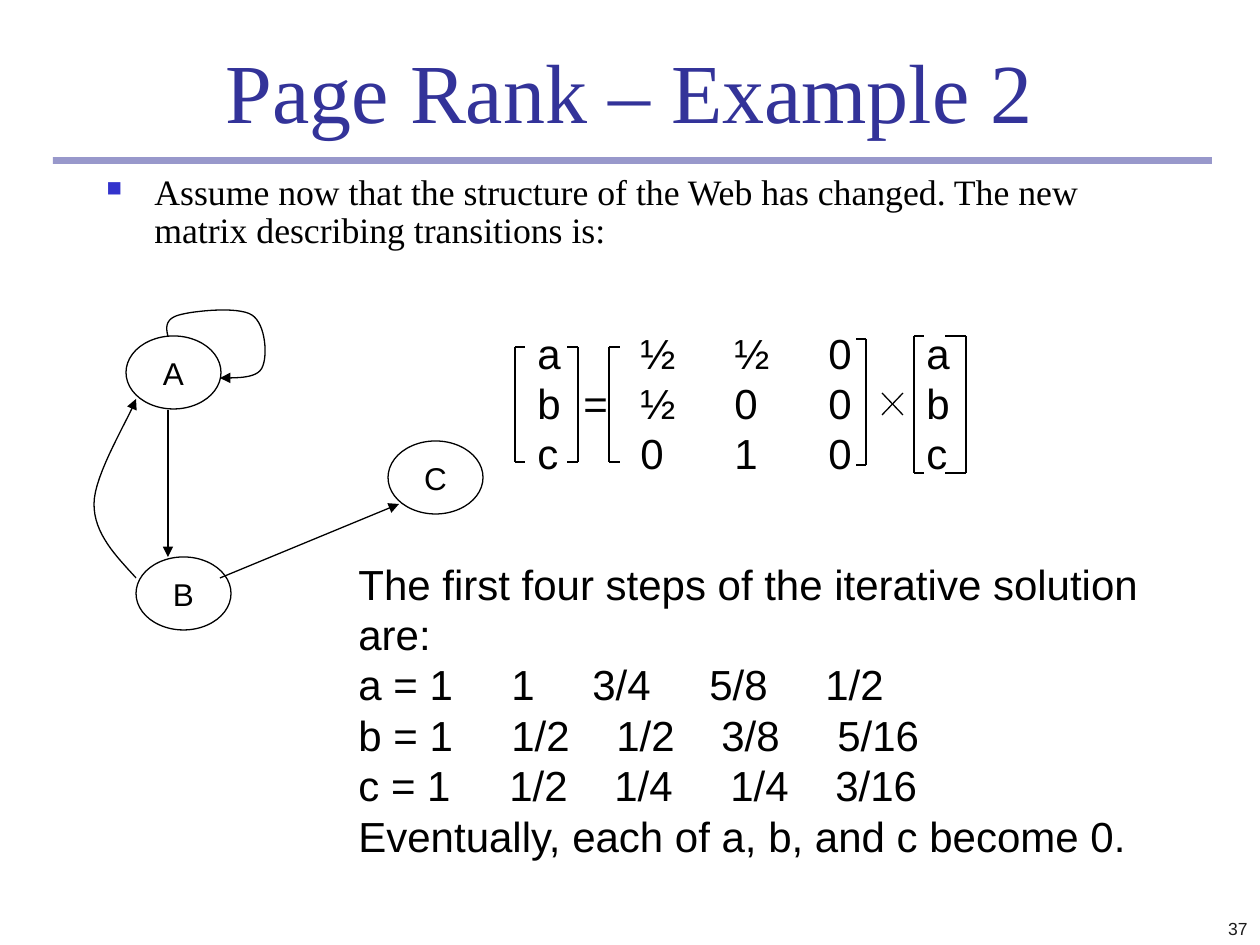
import pptx
import pptx.util
import pptx.dml.color
import pptx.enum.shapes
import pptx.enum.text
import pptx.oxml
import pptx.oxml.ns
from lxml import etree

PX = 914400 / 126
SLIDE_SIZE = (1260, 945)

THEME = {
    "title": "333399", "bullet": "3333CC", "ink": "000000", "page": "1C1C1C", "paper": "FFFFFF",
    "serif": "Times New Roman", "sans": "Arial",
    "title_size": 48, "lead_size": 20.4, "body_size": 24, "node_size": 18, "page_size": 10,
    "line": 0.75,
}

TITLE = "Page Rank – Example 2"
LEAD = "Assume now that the structure of the Web has changed. The new matrix describing transitions is:"
PAGE_NUMBER = "37"

MATRIX_ROWS = ["a\t\t½\t½\t0\ta", "b\t=\t½\t0\t0\tb", "c\t\t0\t1\t0\tc"]
MATRIX_TABS = [46, 103, 197, 291, 389]

# Each line of the solution with its own tab stops
STEPS = [
    ("The first four steps of the iterative solution are:", []),
    ("a = 1\t1\t3/4\t5/8\t1/2", [153, 234, 351, 467]),
    ("b = 1\t1/2\t1/2\t3/8\t5/16", [153, 258, 363, 479]),
    ("c = 1\t1/2\t1/4\t1/4\t3/16", [151, 256, 372, 477]),
    ("Eventually, each of a, b, and c become 0.", []),
]

NODE_SIZE = (95, 73)
NODES = {"A": (126, 336), "B": (136, 557), "C": (388, 441)}
STRAIGHT_LINKS = [((168, 410), (168, 557)), ((220, 578), (399, 504))]

# Start point, then cubic segments as (control, control, end)
CURVED_LINKS = [
    ((168, 336), [((166, 328), (165, 319), (179, 315)),
                  ((193, 311), (238, 306), (252, 315)),
                  ((266, 324), (268, 357), (262, 368)),
                  ((257, 378), (239, 378), (220, 378))]),
    ((136, 578), [((116, 556), (94, 534), (94, 504)),
                  ((94, 474), (130, 417), (136, 399))]),
]

# Spine x, tip x, top, bottom
BRACKETS = [
    (515, 525, 347, 462), (578, 567, 347, 462), (609, 620, 347, 462),
    (866, 856, 339, 465), (914, 924, 336, 473), (966, 945, 336, 473),
]
TIMES_SIGN = (882, 393, 903, 415)


def px(value):
    return pptx.util.Emu(round(value * PX))


def color(name):
    return pptx.dml.color.RGBColor.from_string(THEME[name])


def add_xml(parent, tag, **attributes):
    element = etree.SubElement(parent, pptx.oxml.ns.qn(tag))
    for name, value in attributes.items():
        element.set(name, str(value))
    return element


def write_text(shape, lines, size, font="sans", ink="ink", align="LEFT", anchor="TOP",
               wrap=True, bullet=None, spacing=None):
    """Fill a shape with lines, each a (text, tab stops in px) pair."""
    frame = shape.text_frame
    frame.word_wrap = wrap
    frame.vertical_anchor = getattr(pptx.enum.text.MSO_ANCHOR, anchor)
    for index, (text, tabs) in enumerate(lines):
        paragraph = frame.paragraphs[0] if index == 0 else frame.add_paragraph()
        properties = paragraph._p.get_or_add_pPr()
        if bullet:
            properties.set("marL", str(px(48)))
            properties.set("indent", str(px(-48)))
            add_xml(add_xml(properties, "a:buClr"), "a:srgbClr", val=THEME["bullet"])
            add_xml(properties, "a:buSzPct", val=60000)
            add_xml(properties, "a:buChar", char=bullet)
        if tabs:
            tab_list = add_xml(properties, "a:tabLst")
            for stop in tabs:
                add_xml(tab_list, "a:tab", pos=px(stop), algn="l")
        paragraph.alignment = getattr(pptx.enum.text.PP_ALIGN, align)
        if spacing:
            paragraph.line_spacing = spacing
        run = paragraph.add_run()
        run.text = text
        run.font.name = THEME[font]
        run.font.size = pptx.util.Pt(THEME[size])
        run.font.color.rgb = color(ink)


def add_text(slide, box, lines, size, **text_format):
    shape = slide.shapes.add_textbox(*map(px, box))
    write_text(shape, lines, size, **text_format)


def add_preset(slide, kind, box, fill):
    preset = getattr(pptx.enum.shapes.MSO_SHAPE, kind)
    shape = slide.shapes.add_shape(preset, *map(px, box))
    shape.shadow.inherit = False
    shape.fill.solid()
    shape.fill.fore_color.rgb = color(fill)
    return shape


def style_line(shape, arrow=False):
    shape.line.color.rgb = color("ink")
    shape.line.width = pptx.util.Pt(THEME["line"])
    if arrow:
        add_xml(shape.line._get_or_add_ln(), "a:tailEnd", type="triangle")


def add_line(slide, start, end, arrow=False):
    straight = pptx.enum.shapes.MSO_CONNECTOR.STRAIGHT
    line = slide.shapes.add_connector(straight, *map(px, (*start, *end)))
    style_line(line, arrow)
    add_xml(line._element.spPr, "a:effectLst")


def curve_points(start, segments, steps=16):
    """Sample a chain of cubic curves."""
    points = []
    for first, second, end in segments:
        for step in range(1, steps + 1):
            t = step / steps
            u = 1 - t
            weights = (u ** 3, 3 * u * u * t, 3 * u * t * t, t ** 3)
            corners = (start, first, second, end)
            points.append(tuple(sum(w * corner[axis] for w, corner in zip(weights, corners))
                                for axis in (0, 1)))
        start = end
    return points


def add_curve(slide, start, segments):
    builder = slide.shapes.build_freeform(px(start[0]), px(start[1]))
    points = curve_points(start, segments)
    builder.add_line_segments([(px(x), px(y)) for x, y in points], close=False)
    curve = builder.convert_to_shape()
    curve.shadow.inherit = False
    curve.fill.background()
    style_line(curve, arrow=True)


def add_bracket(slide, spine, tip, top, bottom):
    add_line(slide, (spine, top), (spine, bottom))
    for y in (top, bottom):
        add_line(slide, (spine, y), (tip, y))


def main():
    presentation = pptx.Presentation()
    presentation.slide_width, presentation.slide_height = map(px, SLIDE_SIZE)
    slide = presentation.slides.add_slide(presentation.slide_layouts[6])

    rule = add_preset(slide, "RECTANGLE", (53, 157, 1159, 7), "title")
    rule.line.fill.background()
    fill_color = rule._element.spPr.find(".//" + pptx.oxml.ns.qn("a:srgbClr"))
    add_xml(fill_color, "a:alpha", val=50000)

    add_text(slide, (94, 53, 1071, 94), [(TITLE, [])], "title_size",
             font="serif", ink="title", align="CENTER", anchor="BOTTOM")
    add_text(slide, (94, 168, 1071, 105), [(LEAD, [])], "lead_size",
             font="serif", bullet="■", spacing=0.9)
    add_text(slide, (998, 882, 262, 63), [(PAGE_NUMBER, [])], "page_size",
             ink="page", align="RIGHT", anchor="BOTTOM")
    add_text(slide, (525, 321, 444, 164), [(row, MATRIX_TABS) for row in MATRIX_ROWS], "body_size")

    for name, corner in NODES.items():
        node = add_preset(slide, "OVAL", (*corner, *NODE_SIZE), "paper")
        style_line(node)
        write_text(node, [(name, [])], "node_size", align="CENTER", anchor="MIDDLE", wrap=False)
    for start, segments in CURVED_LINKS:
        add_curve(slide, start, segments)
    for start, end in STRAIGHT_LINKS:
        add_line(slide, start, end, arrow=True)

    for bracket in BRACKETS:
        add_bracket(slide, *bracket)
    add_text(slide, (346, 552, 837, 315), STEPS, "body_size")

    left, top, right, bottom = TIMES_SIGN
    add_line(slide, (left, top), (right, bottom))
    add_line(slide, (right, top), (left, bottom))

    presentation.save("out.pptx")


if __name__ == "__main__":
    main()
